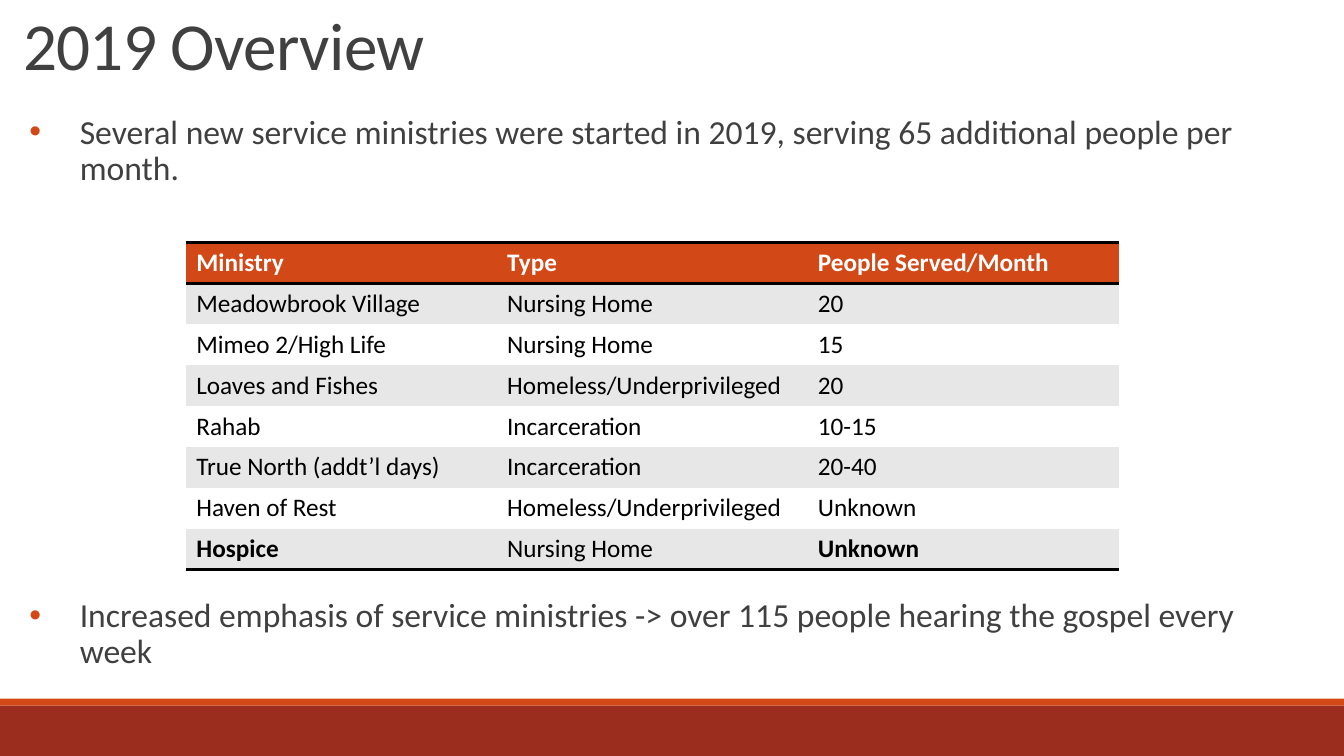
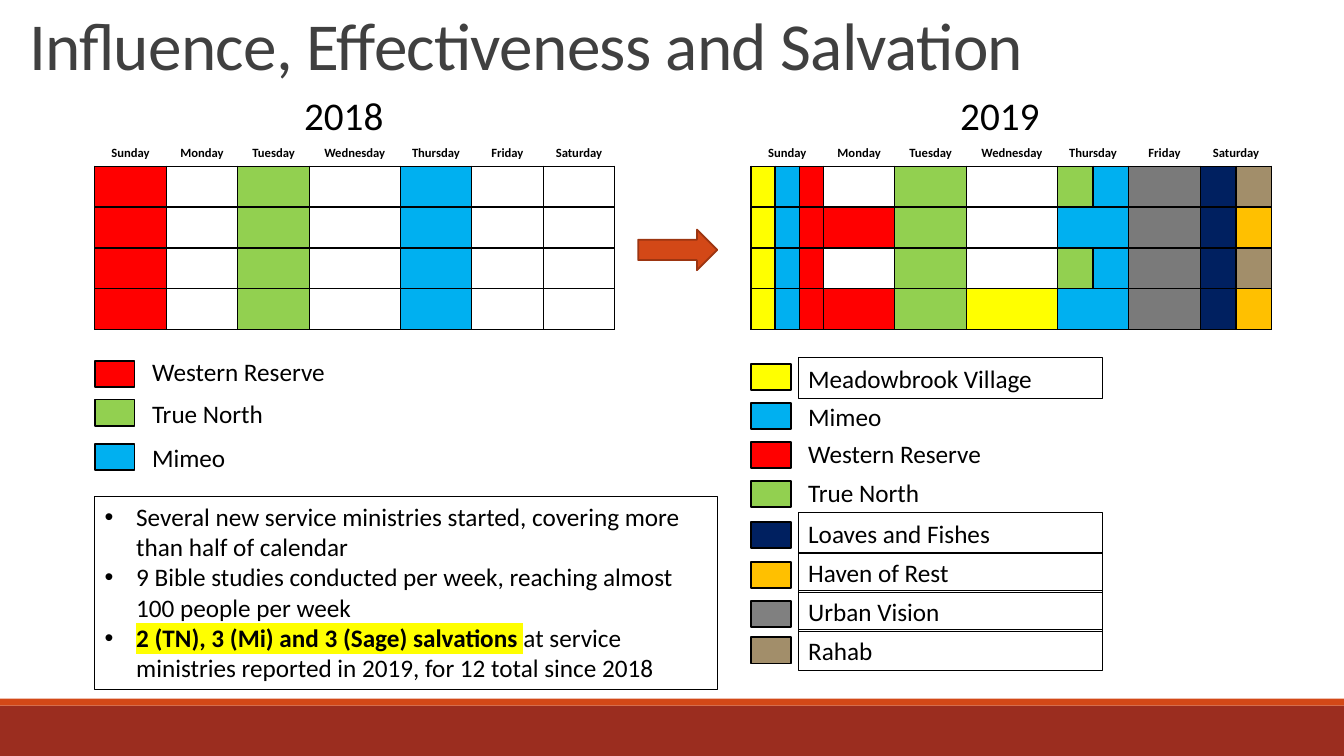
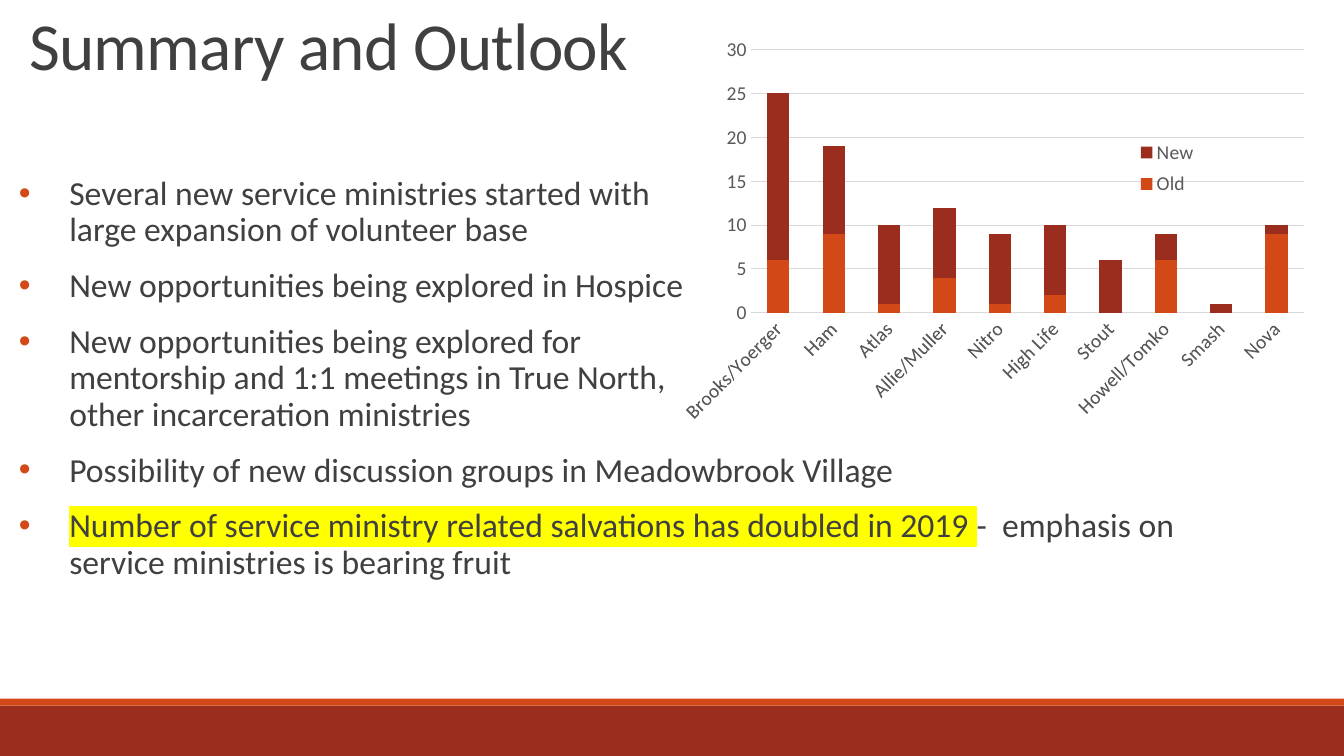
from dataclasses import dataclass

from pptx import Presentation, oxml, util as u
from pptx.chart import data
from pptx.dml import color
from pptx.enum import chart as charts, shapes, text
from pptx.oxml import ns


@dataclass(frozen=True)
class Theme:
    font: str = "Calibri"
    rust: str = "9B2D1F"
    orange: str = "D34817"
    arrow_edge: str = "9C3511"
    ink: str = "404040"
    black: str = "000000"
    white: str = "FFFFFF"
    stripe: str = "E7E7E7"
    axis_text: str = "595959"
    grid: str = "D9D9D9"
    yellow: str = "FFFF00"
    red: str = "FF0000"
    blue: str = "00B0F0"
    green: str = "92D050"
    navy: str = "002060"
    amber: str = "FFC000"
    tan: str = "A28E6A"
    gray: str = "808080"
    dark_gray: str = "7A7A7A"
    title: int = 48
    year: int = 28
    body: int = 24
    label: int = 18
    chart: int = 14
    day: int = 9


theme = Theme()
rgb = color.RGBColor.from_string


def write(frame, lines, size, ink, bold=False, hang=0, bullet=None, roomy=False):
    """Fill a text frame; a line is a string or a (marked text, bold, rest) tuple."""
    frame.word_wrap = True
    for number, line in enumerate(lines):
        para = frame.add_paragraph() if number else frame.paragraphs[0]
        font = para.font
        font.name, font.size, font.bold = theme.font, u.Pt(size), bold
        font.color.rgb = rgb(ink)
        para.alignment = text.PP_ALIGN.LEFT
        if roomy:
            para.line_spacing = 0.9
            para.space_before, para.space_after = u.Pt(12), u.Pt(2)
        if hang:
            props = para._p.get_or_add_pPr()
            props.set("marL", str(u.Pt(hang)))
            props.set("indent", str(-u.Pt(hang)))
            for mark in (f'<a:buClr {ns.nsdecls("a")}><a:srgbClr val="{bullet}"/></a:buClr>',
                         f'<a:buFont {ns.nsdecls("a")} typeface="Arial"/>',
                         f'<a:buChar {ns.nsdecls("a")} char="•"/>'):
                props[-1].addprevious(oxml.parse_xml(mark))
        marked, strong, rest = ("", False, line) if isinstance(line, str) else line
        if marked:
            span = para.add_run()
            span.text = marked
            if strong:
                span.font.bold = True
            span._r.get_or_add_rPr().append(oxml.parse_xml(
                f'<a:highlight {ns.nsdecls("a")}><a:srgbClr val="{theme.yellow}"/></a:highlight>'))
        for index, piece in enumerate(rest.split("\n")):
            if index:
                para.add_line_break()
            para.add_run().text = piece


def draw(page, kind, area, fill=None, line=None, weight=1.25):
    """Add a preset shape; the area is left, top, width, height in points."""
    box = page.shapes.add_shape(kind, *map(u.Pt, area))
    box.shadow.inherit = False
    box.text_frame.vertical_anchor = text.MSO_ANCHOR.TOP
    if fill:
        box.fill.solid()
        box.fill.fore_color.rgb = rgb(fill)
    else:
        box.fill.background()
    if line:
        box.line.color.rgb = rgb(line)
        box.line.width = u.Pt(weight)
    else:
        box.line.fill.background()
    return box


RECT = shapes.MSO_SHAPE.RECTANGLE
deck = Presentation()
deck.slide_width, deck.slide_height = u.Pt(960), u.Pt(540)

# Pages with bands and titles
pages = []
for title, left, top in (("2019 Overview", 9.4, 7.9),
                         ("Influence, Effectiveness and Salvation", 13.7, 7.5),
                         ("Summary and Outlook", 13.7, 7.5)):
    page = deck.slides.add_slide(deck.slide_layouts[6])
    draw(page, RECT, (0, 504, 960, 36), theme.rust)
    draw(page, RECT, (0, 499, 960, 5), theme.orange)
    box = page.shapes.add_textbox(*map(u.Pt, (left, top, 870, 60)))
    write(box.text_frame, [title], theme.title, theme.ink)
    para = box.text_frame.paragraphs[0]
    para.line_spacing = 0.85
    para.runs[0]._r.get_or_add_rPr().set("spc", "-50")
    pages.append(page)
overview, influence, summary = pages

# Bulleted body text of the first and last pages
bodies = (
    (overview, (21, 78.8, 872.6, 66), [
        "Several new service ministries were started in 2019, "
        "serving 65 additional people per month."]),
    (overview, (21, 424, 872.6, 66), [
        "Increased emphasis of service ministries -> over 115 people "
        "hearing the gospel every week"]),
    (summary, (13.5, 122.6, 872.6, 370), [
        "Several new service ministries started with \nlarge expansion of volunteer base",
        "New opportunities being explored in Hospice",
        "New opportunities being explored for \nmentorship and 1:1 meetings in True North,\n"
        "other incarceration ministries",
        "Possibility of new discussion groups in Meadowbrook Village",
        ("Number of service ministry related salvations has doubled in 2019 ", False,
         "-  emphasis on service ministries is bearing fruit")]),
)
for page, area, lines in bodies:
    frame = page.shapes.add_textbox(*map(u.Pt, area)).text_frame
    frame.margin_left = frame.margin_right = 0
    write(frame, lines, theme.body, theme.ink, hang=36, bullet=theme.orange, roomy=True)

# Ministry table
ministries = (
    ("Ministry", "Type", "People Served/Month"),
    ("Meadowbrook Village", "Nursing Home", "20"),
    ("Mimeo 2/High Life", "Nursing Home", "15"),
    ("Loaves and Fishes", "Homeless/Underprivileged", "20"),
    ("Rahab", "Incarceration", "10-15"),
    ("True North (addt’l days)", "Incarceration", "20-40"),
    ("Haven of Rest", "Homeless/Underprivileged", "Unknown"),
    ("Hospice", "Nursing Home", "Unknown"),
)
ROW = 29.2
last = len(ministries) - 1
edges = []  # (cell, sides, weight), drawn once all tables stand
tables = []
table = overview.shapes.add_table(
    len(ministries), 3, *map(u.Pt, (133.1, 173.2, 666, ROW * len(ministries)))).table
tables.append(table)
for r, record in enumerate(ministries):
    table.rows[r].height = u.Pt(ROW)
    for c, value in enumerate(record):
        cell = table.cell(r, c)
        cell.fill.solid()
        cell.fill.fore_color.rgb = rgb(
            theme.orange if r == 0 else theme.stripe if r % 2 else theme.white)
        write(cell.text_frame, [value], theme.label, theme.black if r else theme.white,
              bold=r == 0 or (r == last and c != 1))
        if r in (0, last):
            edges.append((cell, "B" if r else "TB", 2))

# Week calendars: one letter a cell, "-" joins the cell to its left
tints = {".": theme.white, "Y": theme.yellow, "B": theme.blue, "R": theme.red,
         "G": theme.green, "K": theme.dark_gray, "N": theme.navy,
         "T": theme.tan, "O": theme.amber}
days = ("Sunday", "Monday", "Tuesday", "Wednesday", "Thursday", "Friday", "Saturday")
DAY, MIDWEEK = 51.1, 64.9
calendars = (
    ("2018", 67.7, (1, 1, 1, 1, 1, 1, 1), ["R.G.B.."] * 4),
    ("2019", 536.4, (3, 1, 1, 1, 2, 1, 2),
     ["YBR.G.GBKNT", "YBRRG.B-KNO", "YBR.G.GBKNT", "YBRRGYB-KNO"]),
)
for year, left, parts, weeks in calendars:
    table = influence.shapes.add_table(
        5, sum(parts), *map(u.Pt, (left, 89.5, 6 * DAY + MIDWEEK, 5 * ROW))).table
    tables.append(table)
    box = influence.shapes.add_textbox(*map(u.Pt, (left + 142.4, 61.4, 80, 41)))
    write(box.text_frame, [year], theme.year, theme.black)
    for row in table.rows:
        row.height = u.Pt(ROW)
    column = 0
    for day, count in zip(days, parts):
        for c in range(column, column + count):
            table.columns[c].width = u.Pt((MIDWEEK if day == "Wednesday" else DAY) / count)
            edges.append((table.cell(0, c), "B", 1))
        cell = table.cell(0, column)
        if count > 1:
            cell.merge(table.cell(0, column + count - 1))
        cell.fill.solid()
        cell.fill.fore_color.rgb = rgb(theme.white)
        cell.vertical_anchor = text.MSO_ANCHOR.BOTTOM
        cell.margin_left = cell.margin_right = u.Pt(1)
        write(cell.text_frame, [day], theme.day, theme.black, bold=True)
        cell.text_frame.paragraphs[0].alignment = text.PP_ALIGN.CENTER
        column += count
    for r, week in enumerate(weeks, 1):
        for c, letter in enumerate(week):
            cell = table.cell(r, c)
            cell.margin_top = cell.margin_bottom = 0
            edges.append((cell, "LRTB", 1))
            if letter == "-":
                table.cell(r, c - 1).merge(cell)
            else:
                cell.fill.solid()
                cell.fill.fore_color.rgb = rgb(tints[letter])

# Plain table style and cell borders
for table in tables:
    table.first_row = table.horz_banding = False
    style = table._tbl.tblPr.find(ns.qn("a:tableStyleId"))
    style.text = "{2D5ABB26-0587-4C30-8999-92F81FD0307C}"
for cell, sides, weight in edges:
    props = cell._tc.get_or_add_tcPr()
    for place, side in enumerate(sides):
        props.insert(place, oxml.parse_xml(
            f'<a:ln{side} {ns.nsdecls("a")} w="{u.Pt(weight)}"><a:solidFill>'
            f'<a:srgbClr val="{theme.black}"/></a:solidFill></a:ln{side}>'))

# Calendar legends: name, colour, framed, top of swatch, top of label
legends = (
    (67.7, (
        ("Western Reserve", theme.red, False, 257.8, 251.3),
        ("True North", theme.green, False, 285.4, 281.2),
        ("Mimeo", theme.blue, False, 317.2, 312.5))),
    (536.4, (
        ("Meadowbrook Village", theme.yellow, True, 259.9, 255.6),
        ("Mimeo", theme.blue, False, 288, 283),
        ("Western Reserve", theme.red, False, 315.9, 309.6),
        ("True North", theme.green, False, 343.6, 337.2),
        ("Loaves and Fishes", theme.navy, True, 372.8, 366.4),
        ("Haven of Rest", theme.amber, True, 401.6, 394.4),
        ("Urban Vision", theme.gray, True, 429.1, 422.1),
        ("Rahab", theme.tan, True, 455.2, 449.9))),
)
for left, entries in legends:
    for name, tint, framed, swatch_top, label_top in entries:
        draw(influence, RECT, (left, swatch_top, 28.5, 18.7), tint, theme.black)
        box = draw(influence, RECT, (left + 33.8, label_top, 217.4, 29),
                   line=theme.black if framed else None, weight=0.75)
        write(box.text_frame, [name], theme.label, theme.black)

# Findings and arrow
box = draw(influence, RECT, (67.7, 354.5, 445, 137.8), line=theme.black, weight=0.75)
write(box.text_frame, [
    "Several new service ministries started, covering more than half of calendar",
    "9 Bible studies conducted per week, reaching almost 100 people per week",
    ("2 (TN), 3 (Mi) and 3 (Sage) salvations ", True,
     "at service ministries reported in 2019, for 12 total since 2018"),
], theme.label, theme.black, hang=22.5, bullet=theme.black)
draw(influence, shapes.MSO_SHAPE.RIGHT_ARROW, (455.8, 164, 56.5, 29),
     theme.orange, theme.arrow_edge)

# Volunteer chart
volunteers = data.CategoryChartData()
volunteers.categories = ["Brooks/Yoerger", "Ham", "Atlas", "Allie/Muller", "Nitro",
                         "High Life", "Stout", "Howell/Tomko", "Smash", "Nova"]
volunteers.add_series("Old", (6, 9, 1, 4, 1, 2, None, 6, None, 9))
volunteers.add_series("New", (19, 10, 9, 8, 8, 8, 6, 3, 1, 1))
chart = summary.shapes.add_chart(charts.XL_CHART_TYPE.COLUMN_STACKED,
                                 *map(u.Pt, (486, 0, 446, 314)), volunteers).chart
chart.has_title = False
chart.has_legend = True
chart.legend.position = charts.XL_LEGEND_POSITION.RIGHT
chart.legend.include_in_layout = False
plot = chart.plots[0]
plot.gap_width, plot.overlap, plot.vary_by_categories = 150, 100, False
for series, tint in zip(plot.series, (theme.orange, theme.rust)):
    series.format.fill.solid()
    series.format.fill.fore_color.rgb = rgb(tint)
names, counts = chart.category_axis, chart.value_axis
for font in (chart.font, names.tick_labels.font, counts.tick_labels.font, chart.legend.font):
    font.name, font.size = theme.font, u.Pt(theme.chart)
    font.color.rgb = rgb(theme.axis_text)
for axis in (names, counts):
    axis.major_tick_mark = axis.minor_tick_mark = charts.XL_TICK_MARK.NONE
counts.minimum_scale, counts.maximum_scale, counts.major_unit = 0, 30, 5
counts.has_major_gridlines = True
counts.format.line.fill.background()
for line in (names.format.line, counts.major_gridlines.format.line):
    line.color.rgb = rgb(theme.grid)
    line.width = u.Pt(0.75)
names._element.find(ns.qn("c:txPr")).find(ns.qn("a:bodyPr")).set("rot", "-2700000")

# Fixed places of plot and legend inside the chart, in percent
root = chart._chartSpace.chart
for tag, place, target, box in (
        ("c:plotArea", 0, '<c:layoutTarget val="inner"/>', (11.1, 11.3, 88.9, 59.9)),
        ("c:legend", 1, "", (72, 30.3, 12, 16))):
    x, y, w, h = (share / 100 for share in box)
    part = root.find(ns.qn(tag))
    for old in part.findall(ns.qn("c:layout")):
        part.remove(old)
    part.insert(place, oxml.parse_xml(
        f'<c:layout {ns.nsdecls("c")}><c:manualLayout>{target}'
        f'<c:xMode val="edge"/><c:yMode val="edge"/><c:x val="{x:.3f}"/><c:y val="{y:.3f}"/>'
        f'<c:w val="{w:.3f}"/><c:h val="{h:.3f}"/></c:manualLayout></c:layout>'))

deck.save("out.pptx")
